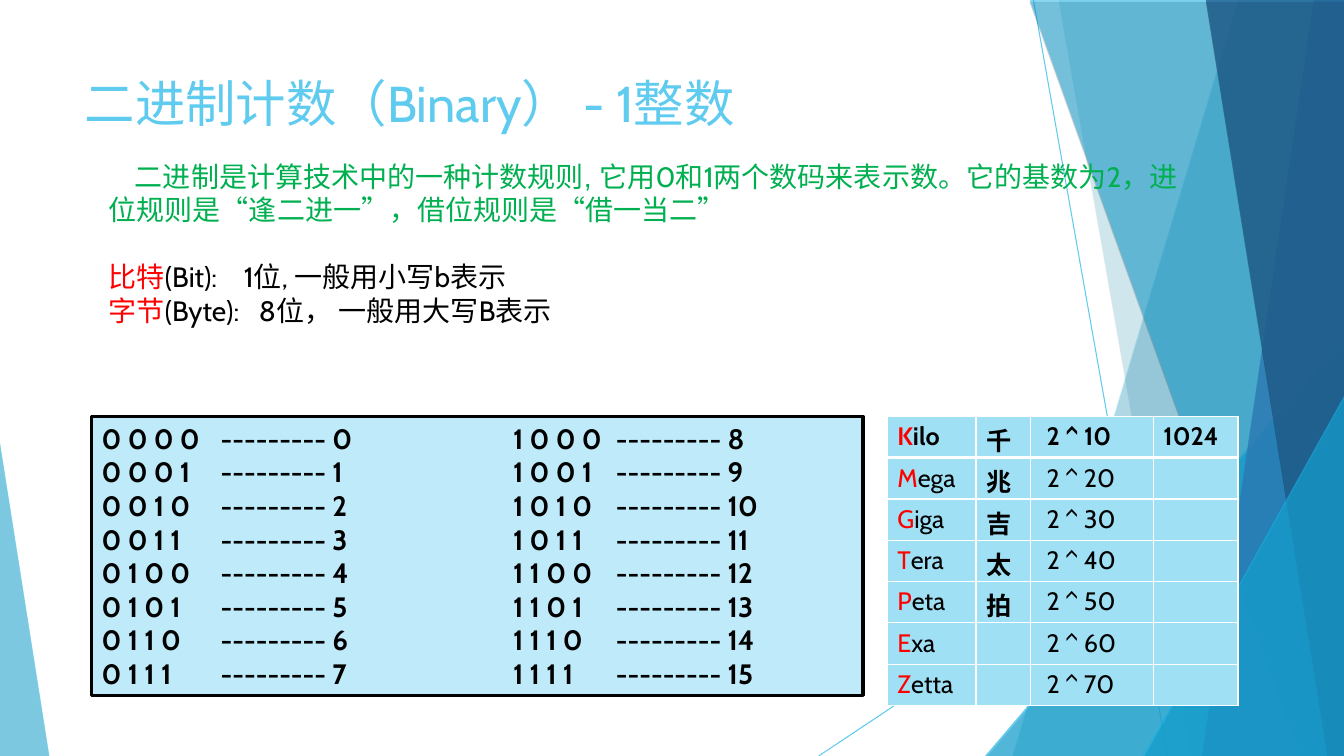
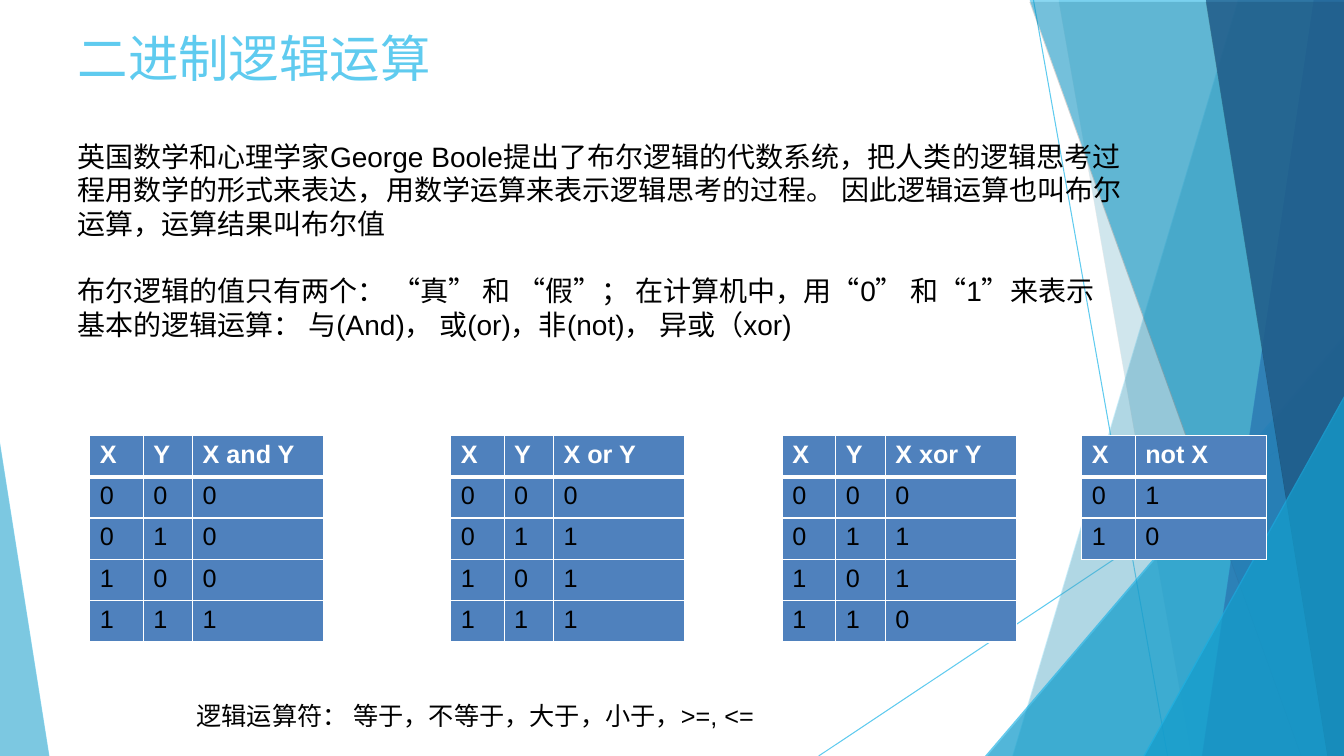
from dataclasses import dataclass
from itertools import product
from typing import Callable, Sequence

from lxml import etree
from pptx import Presentation
from pptx import util as u
from pptx.dml.color import RGBColor
from pptx.enum import shapes, text
from pptx.oxml.ns import qn

PX = u.Inches(1) // 100


def px(n: int) -> u.Emu:
    return u.Emu(n * PX)


@dataclass(frozen=True)
class Theme:
    sky: str = "5FCBEF"
    cyan: str = "17B0E4"
    blue: str = "2E83C3"
    navy: str = "226292"
    panel: str = "BFEAF9"
    unit_cell: str = "9FE0F5"
    logic_cell: str = "4F81BD"
    green: str = "00B050"
    red: str = "FF0000"
    black: str = "000000"
    white: str = "FFFFFF"
    title_size: int = 36
    body_size: int = 20
    cell_size: int = 18
    display: str = "Cabin"
    plain: str = "Arial"


T = Theme()


@dataclass(frozen=True)
class Box:
    x: int
    y: int
    w: int
    h: int

    def emu(self) -> tuple:
        return px(self.x), px(self.y), px(self.w), px(self.h)


@dataclass(frozen=True)
class Span:
    text: str
    color: str = T.black
    font: str = T.display
    bold: bool = False


@dataclass(frozen=True)
class Para:
    spans: Sequence[Span]
    size: int = T.body_size
    before: int = 0
    indent: int = 0
    tabs: Sequence[int] = ()


@dataclass(frozen=True)
class Band:
    points: Sequence[tuple[int, int]]
    color: str
    alpha: int


@dataclass(frozen=True)
class Wedge:
    box: Box
    apex: float
    color: str
    alpha: int


@dataclass(frozen=True)
class Grid:
    x: int
    y: int
    cols: Sequence[int]
    rows: Sequence[Sequence[Sequence[Span]]]
    fill: str
    border: float
    indents: Sequence[int] = ()


@dataclass(frozen=True)
class Gate:
    x: int
    label: str
    inputs: Sequence[str]
    rule: Callable[..., int]


RAYS = [(1025, 0, 1158, 750), (1333, 403, 812, 750)]
FACETS = [
    Band([(1228, -1), (1333, -1), (1333, 750), (1004, 750)], T.sky, 36),
    Band([(1050, -1), (1333, -1), (1333, 750), (1182, 750)], T.sky, 20),
    Wedge(Box(977, 333, 356, 417), 1, T.cyan, 66),
    Band([(1021, -1), (1333, -1), (1333, 750), (1291, 750)], T.cyan, 50),
    Band([(1303, -1), (1333, -1), (1333, 750), (1192, 750)], T.blue, 70),
    Band([(1196, -1), (1333, -1), (1333, 750), (1317, 750)], T.navy, 80),
    Wedge(Box(1134, 393, 199, 357), 1, T.cyan, 66),
    Wedge(Box(0, 439, 49, 311), 0, T.sky, 70),
]
UNITS = [("Kilo", "千"), ("Mega", "兆"), ("Giga", "吉"), ("Tera", "太"),
         ("Peta", "拍"), ("Exa", ""), ("Zetta", "")]
GATES = [
    Gate(89, "X and Y", "XY", lambda x, y: x & y),
    Gate(447, "X or Y", "XY", lambda x, y: x | y),
    Gate(776, "X xor Y", "XY", lambda x, y: x ^ y),
    Gate(1073, "not X", "X", lambda x: 1 - x),
]


def rgb(color: str) -> RGBColor:
    return RGBColor.from_string(color)


def add_alpha(parent, percent: int) -> None:
    etree.SubElement(parent, qn("a:alpha"), val=str(percent * 1000))


def paint_facet(sp, color: str, alpha: int) -> None:
    sp.fill.solid()
    sp.fill.fore_color.rgb = rgb(color)
    sp.line.fill.background()
    sp.shadow.inherit = False
    pr = sp._element.spPr
    add_alpha(pr.find(qn("a:solidFill"))[0], alpha)
    shadow = etree.SubElement(pr.find(qn("a:effectLst")), qn("a:outerShdw"),
                              blurRad="0", dist=str(u.Pt(2)), dir="5400000", rotWithShape="0")
    add_alpha(etree.SubElement(shadow, qn("a:srgbClr"), val=T.black), 35)


def draw_backdrop(s) -> None:
    for ray in RAYS:
        line = s.shapes.add_connector(shapes.MSO_CONNECTOR.STRAIGHT, *map(px, ray))
        line.line.color.rgb = rgb(T.sky)
        line.line.width = u.Pt(0.75)
        etree.SubElement(line._element.spPr, qn("a:effectLst"))
    for facet in FACETS:
        if isinstance(facet, Band):
            builder = s.shapes.build_freeform(*facet.points[0], scale=PX)
            builder.add_line_segments(facet.points[1:], close=True)
            sp = builder.convert_to_shape()
        else:
            sp = s.shapes.add_shape(shapes.MSO_SHAPE.ISOSCELES_TRIANGLE, *facet.box.emu())
            sp.adjustments[0] = facet.apex
        paint_facet(sp, facet.color, facet.alpha)


def add_titled_slide(prs, title: str, box: Box):
    s = prs.slides.add_slide(prs.slide_layouts[5])
    sp = s.shapes.title
    sp.left, sp.top, sp.width, sp.height = box.emu()
    tf = sp.text_frame
    tf.text = title
    tf.vertical_anchor = text.MSO_ANCHOR.TOP
    tf.auto_size = text.MSO_AUTO_SIZE.NONE
    p = tf.paragraphs[0]
    p.alignment = text.PP_ALIGN.LEFT
    font = p.runs[0].font
    font.name, font.size, font.color.rgb = T.display, u.Pt(T.title_size), rgb(T.sky)
    draw_backdrop(s)
    return s


def write_spans(p, spans: Sequence[Span], size: int) -> None:
    for span in spans:
        r = p.add_run()
        r.text = span.text
        r.font.name, r.font.size, r.font.bold = span.font, u.Pt(size), span.bold
        r.font.color.rgb = rgb(span.color)


def write_paras(tf, paras: Sequence[Para]) -> None:
    tf.word_wrap = True
    tf.vertical_anchor = text.MSO_ANCHOR.TOP
    for i, para in enumerate(paras):
        p = tf.add_paragraph() if i else tf.paragraphs[0]
        p.alignment = text.PP_ALIGN.LEFT
        if para.before:
            p.space_before = u.Pt(para.before)
        pr = p._p.get_or_add_pPr()
        if para.indent:
            pr.set("indent", str(px(para.indent)))
        if para.tabs:
            stops = etree.SubElement(pr, qn("a:tabLst"))
            for stop in para.tabs:
                etree.SubElement(stops, qn("a:tab"), pos=str(px(stop)), algn="l")
        write_spans(p, para.spans, para.size)


def add_text(s, box: Box, paras: Sequence[Para]) -> None:
    write_paras(s.shapes.add_textbox(*box.emu()).text_frame, paras)


def set_borders(cell, row: int, width: float) -> None:
    pr = cell._tc.get_or_add_tcPr()
    heavy = {0: "lnB", 1: "lnT"}.get(row)
    for side in ("lnL", "lnR", "lnT", "lnB"):
        ln = etree.SubElement(pr, qn(f"a:{side}"), w=str(u.Pt(3 if side == heavy else width)))
        fill = etree.SubElement(ln, qn("a:solidFill"))
        etree.SubElement(fill, qn("a:srgbClr"), val=T.white)


def add_grid(s, grid: Grid, row_height: int = 41) -> None:
    box = Box(grid.x, grid.y, sum(grid.cols), row_height * len(grid.rows))
    table = s.shapes.add_table(len(grid.rows), len(grid.cols), *box.emu()).table
    table.first_row = table.horz_banding = False
    for col, width in zip(table.columns, grid.cols):
        col.width = px(width)
    for i, row in enumerate(grid.rows):
        for j, spans in enumerate(row):
            cell = table.cell(i, j)
            set_borders(cell, i, grid.border)
            cell.fill.solid()
            cell.fill.fore_color.rgb = rgb(grid.fill)
            if grid.indents:
                cell.margin_left = px(grid.indents[j])
            write_spans(cell.text_frame.paragraphs[0], spans, T.cell_size)


def unit_row(i: int, name: str, numeral: str) -> list[list[Span]]:
    head = i == 0
    return [
        [Span(name[0], T.red, bold=head), Span(name[1:], bold=head)],
        [Span(numeral, bold=True)] if numeral else [],
        [Span(f"2 ^ {10 * (i + 1)}", bold=head)],
        [Span("1024", bold=True)] if head else [],
    ]


def gate_grid(gate: Gate) -> Grid:
    header = [[Span(label, T.white, T.plain, True)] for label in [*gate.inputs, gate.label]]
    rows = [[[Span(str(v), font=T.plain)] for v in (*bits, gate.rule(*bits))]
            for bits in product((0, 1), repeat=len(gate.inputs))]
    return Grid(gate.x, 432, [53, 49][:len(gate.inputs)] + [130], [header, *rows],
                T.logic_cell, 1)


def count_entry(n: int) -> str:
    return f"{' '.join(f'{n:04b}')}\t--------- {n}"


def build_counting(prs) -> None:
    s = add_titled_slide(prs, "二进制计数（Binary） - 1整数", Box(74, 67, 940, 81))
    add_text(s, Box(98, 153, 1095, 177), [
        Para([Span("二进制是计算技术中的一种计数规则, 它", T.green, T.plain),
              Span("用0和1两个数码来表示数。它的基数为2，进位规则是“逢二进一”，借位规则是“借一当二”",
                   T.green)], indent=26),
        Para([Span("比特", T.red), Span("(Bit):\t1位, 一般用小写b表示")], before=24, tabs=[134]),
        Para([Span("字节", T.red), Span("(Byte):\t8位， 一般用大写B表示")], tabs=[149]),
    ])
    panel = s.shapes.add_shape(shapes.MSO_SHAPE.RECTANGLE, *Box(91, 413, 765, 277).emu())
    panel.shadow.inherit = False
    panel.fill.solid()
    panel.fill.fore_color.rgb = rgb(T.panel)
    panel.line.color.rgb = rgb(T.black)
    panel.line.width = u.Pt(2.25)
    write_paras(panel.text_frame, [
        Para([Span(f"{count_entry(n)}\t{count_entry(n + 8)}", bold=True)], tabs=[118, 408, 510])
        for n in range(8)])
    add_grid(s, Grid(880, 413, [88, 54, 122, 84],
                     [unit_row(i, *unit) for i, unit in enumerate(UNITS)],
                     T.unit_cell, 0.96, [10, 10, 16, 10]))


def build_logic(prs) -> None:
    s = add_titled_slide(prs, "二进制逻辑运算", Box(67, 22, 940, 75))
    add_text(s, Box(67, 133, 1073, 212), [
        Para([Span("英国数学和心理学家George Boole提出了布尔逻辑的代数系统，把人类的逻辑思考过程用数学的形式"
                   "来表达，用数学运算来表示逻辑思考的过程。 因此逻辑运算也叫布尔运算，运算结果叫布尔值",
                   font=T.plain)]),
        Para([Span("布尔逻辑的值只有两个： “真” 和 “假”； 在计算机中，用“0” 和“1”来表示",
                   font=T.plain)], before=24),
        Para([Span("基本的逻辑运算： 与(And)， 或(or)，非(not)， 异或（xor)", font=T.plain)]),
    ])
    for gate in GATES:
        add_grid(s, gate_grid(gate))
    add_text(s, Box(185, 690, 777, 40), [
        Para([Span("逻辑运算符： 等于，不等于，大于，小于，>=, <=", font=T.plain)], T.cell_size)])


def main() -> None:
    prs = Presentation()
    prs.slide_width, prs.slide_height = px(1333), px(750)
    build_counting(prs)
    build_logic(prs)
    prs.save("out.pptx")


if __name__ == "__main__":
    main()
